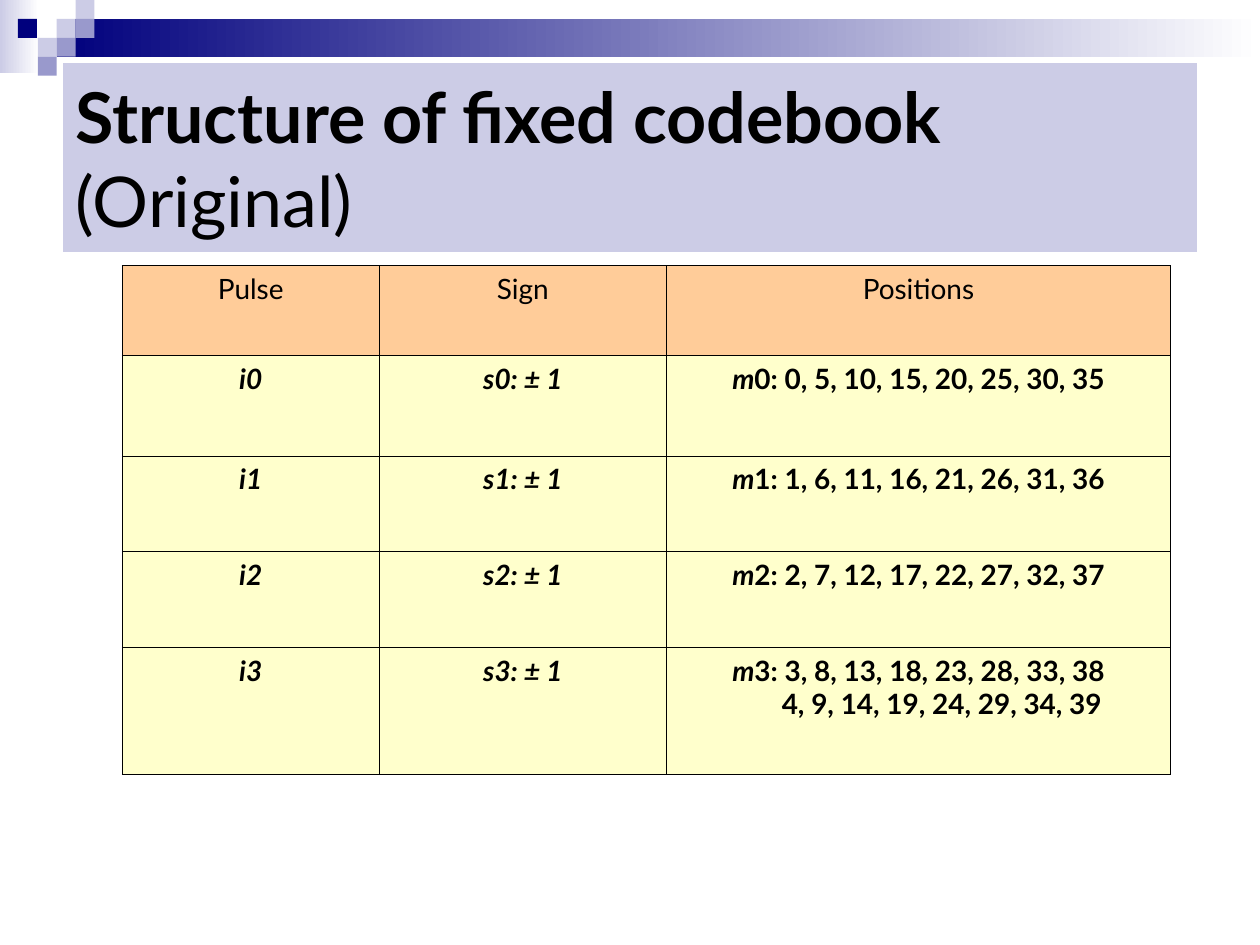
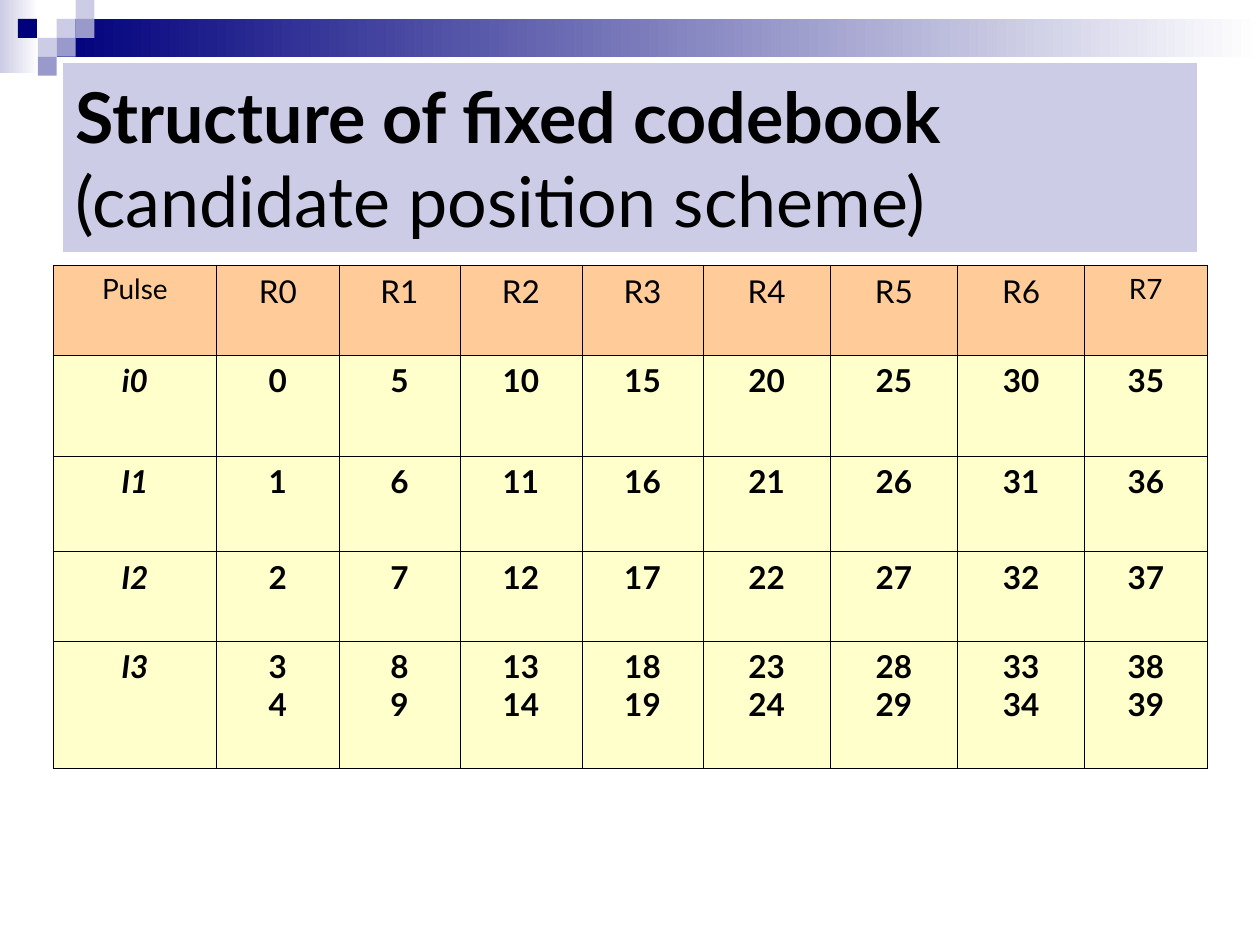
from dataclasses import dataclass

from lxml import etree
from pptx import Presentation
from pptx.dml.color import RGBColor
from pptx.enum import shapes, text
from pptx.oxml import ns
from pptx.util import Inches, Pt


@dataclass(frozen=True)
class Theme:
    font: str = "Lato"
    black: str = "000000"
    white: str = "FFFFFF"
    navy: str = "00007D"
    violet: str = "9999CC"
    lavender: str = "CCCCE6"
    header: str = "FFCC99"
    body: str = "FFFFCC"
    title_size: int = 40
    small_size: int = 16
    large_size: int = 18
    border: float = 0.45


THEME = Theme()
TITLE_BOX = (0.5, 0.5, 9, 1.5)
TABLE_TOP = 2.11
PULSES, POSITIONS_PER_PULSE, STEP = 4, 8, 5
TILE = 0.15


def rgb(color):
    return RGBColor.from_string(color)


def style(run, size, bold=False, italic=False):
    font = run.font
    font.name, font.size = THEME.font, Pt(size)
    font.bold, font.italic = bold, italic
    font.color.rgb = rgb(THEME.black)


# Shared corner mosaic and gradient bands
def add_block(slide, box, color, fades=False):
    block = slide.shapes.add_shape(shapes.MSO_SHAPE.RECTANGLE, *map(Inches, box))
    block.shadow.inherit = False
    block.line.fill.background()
    if fades:
        block.fill.gradient()
        block.fill.gradient_angle = 180
        for stop, shade in zip(block.fill.gradient_stops, (THEME.white, color)):
            stop.color.rgb = rgb(shade)
    else:
        block.fill.solid()
        block.fill.fore_color.rgb = rgb(color)
    return block


def add_band(slide, layout):
    """Draws the band and hands it to the layout, behind its placeholders."""
    blocks = [
        add_block(slide, (0, 0, 0.31, 0.58), THEME.lavender, fades=True),
        add_block(slide, (3 * TILE, TILE, 10 - 3 * TILE, 2 * TILE), THEME.navy, fades=True),
    ]
    tiles = [(3, 1, THEME.lavender), (4, 0, THEME.lavender), (4, 1, THEME.violet),
             (2, 2, THEME.lavender), (0.95, 1, THEME.navy), (3, 2, THEME.violet),
             (2, 3, THEME.violet)]
    for column, row, color in tiles:
        blocks.append(add_block(slide, (column * TILE, row * TILE, TILE, TILE), color))
    for order, block in enumerate(blocks):
        block.element.nvSpPr.cNvPr.set("id", str(100 + order))
        layout.shapes.element.insert(2 + order, block.element)


# Title on its lavender panel
def add_title(slide, box, heading, scheme):
    title = slide.shapes.title
    title.left, title.top, title.width, title.height = map(Inches, box)
    title.fill.solid()
    title.fill.fore_color.rgb = rgb(THEME.lavender)
    frame = title.text_frame
    frame.text = f"{heading}\v{scheme}"
    frame.word_wrap = True
    frame.auto_size = text.MSO_AUTO_SIZE.NONE
    frame.vertical_anchor = text.MSO_ANCHOR.MIDDLE
    line = frame.paragraphs[0]
    line.alignment = text.PP_ALIGN.LEFT
    for run, bold in zip(line.runs, (True, False)):
        style(run, THEME.title_size, bold=bold)


# Table cells: each line is a pair of italic and upright text
def add_borders(cell):
    properties = cell._tc.get_or_add_tcPr()
    for side in ("lnL", "lnR", "lnT", "lnB"):
        border = etree.SubElement(properties, ns.qn(f"a:{side}"), w=str(Pt(THEME.border)))
        ink = etree.SubElement(border, ns.qn("a:solidFill"))
        etree.SubElement(ink, ns.qn("a:srgbClr"), val=THEME.black)


def fill_cell(cell, lines, color, size, bold, hanging=0):
    add_borders(cell)
    cell.fill.solid()
    cell.fill.fore_color.rgb = rgb(color)
    frame = cell.text_frame
    for number, (slanted, upright) in enumerate(lines):
        line = frame.add_paragraph() if number else frame.paragraphs[0]
        line.alignment = text.PP_ALIGN.CENTER
        if number and hanging:
            line._p.get_or_add_pPr().set("marL", str(Inches(hanging)))
        for words, italic in ((slanted, True), (upright, False)):
            if words:
                run = line.add_run()
                run.text = words
                style(run, size, bold, italic)


def add_codebook(slide, left, top, widths, heights, headers, header_sizes,
                 rows, size, hanging=0):
    frame = slide.shapes.add_table(
        len(heights), len(widths), Inches(left), Inches(top),
        Inches(sum(widths)), Inches(sum(heights)))
    table = frame.table
    table.first_row = table.horz_banding = False
    for column, width in zip(table.columns, widths):
        column.width = Inches(width)
    for row, height in zip(table.rows, heights):
        row.height = Inches(height)
    for column, (label, label_size) in enumerate(zip(headers, header_sizes)):
        fill_cell(table.cell(0, column), [("", label)], THEME.header, label_size, False)
    for row, cells in enumerate(rows, 1):
        for column, lines in enumerate(cells):
            fill_cell(table.cell(row, column), lines, THEME.body, size, True, hanging)


def tracks(pulse):
    """The last pulse also covers the fifth track."""
    starts = (pulse, pulse + 1) if pulse == PULSES - 1 else (pulse,)
    return [[start + STEP * place for place in range(POSITIONS_PER_PULSE)]
            for start in starts]


# Slide 1: pulses, signs and positions
def fill_full_search(slide):
    add_title(slide, TITLE_BOX, "Structure of fixed codebook", "(Original)")
    rows = []
    for pulse in range(PULSES):
        first, *more = [", ".join(map(str, track)) for track in tracks(pulse)]
        positions = [("m", f"{pulse}: {first}")] + [("", track) for track in more]
        rows.append([[(f"i{pulse}", "")], [(f"s{pulse}: ± 1", "")], positions])
    add_codebook(slide, 0.97, TABLE_TOP, [2.04, 2.28, 4], [0.71, 0.8, 0.76, 0.76, 1.01],
                 ["Pulse", "Sign", "Positions"], [THEME.small_size] * 3,
                 rows, THEME.small_size, hanging=0.37)


# Slide 2: candidate positions by rank
def fill_candidates(slide):
    add_title(slide, TITLE_BOX, "Structure of fixed codebook", "(candidate position scheme)")
    rows = []
    for pulse in range(PULSES):
        name = f"I{pulse}" if pulse else "i0"
        ranks = [[("", str(position)) for position in rank] for rank in zip(*tracks(pulse))]
        rows.append([[(name, "")]] + ranks)
    headers = ["Pulse"] + [f"R{rank}" for rank in range(POSITIONS_PER_PULSE)]
    header_sizes = [THEME.small_size] + [THEME.large_size] * 7 + [THEME.small_size]
    widths = [1.3] + [0.97, 0.96] * 2 + [1.01] * 3 + [0.97]
    add_codebook(slide, 0.42, TABLE_TOP, widths, [0.71, 0.8, 0.76, 0.71, 1.01],
                 headers, header_sizes, rows, THEME.large_size)


def main():
    deck = Presentation()
    deck.slide_width, deck.slide_height = Inches(10), Inches(7.5)
    layout = deck.slide_layouts[5]
    full_search, candidates = [deck.slides.add_slide(layout) for _ in range(2)]
    add_band(full_search, layout)
    fill_full_search(full_search)
    fill_candidates(candidates)
    deck.save("out.pptx")


if __name__ == "__main__":
    main()
